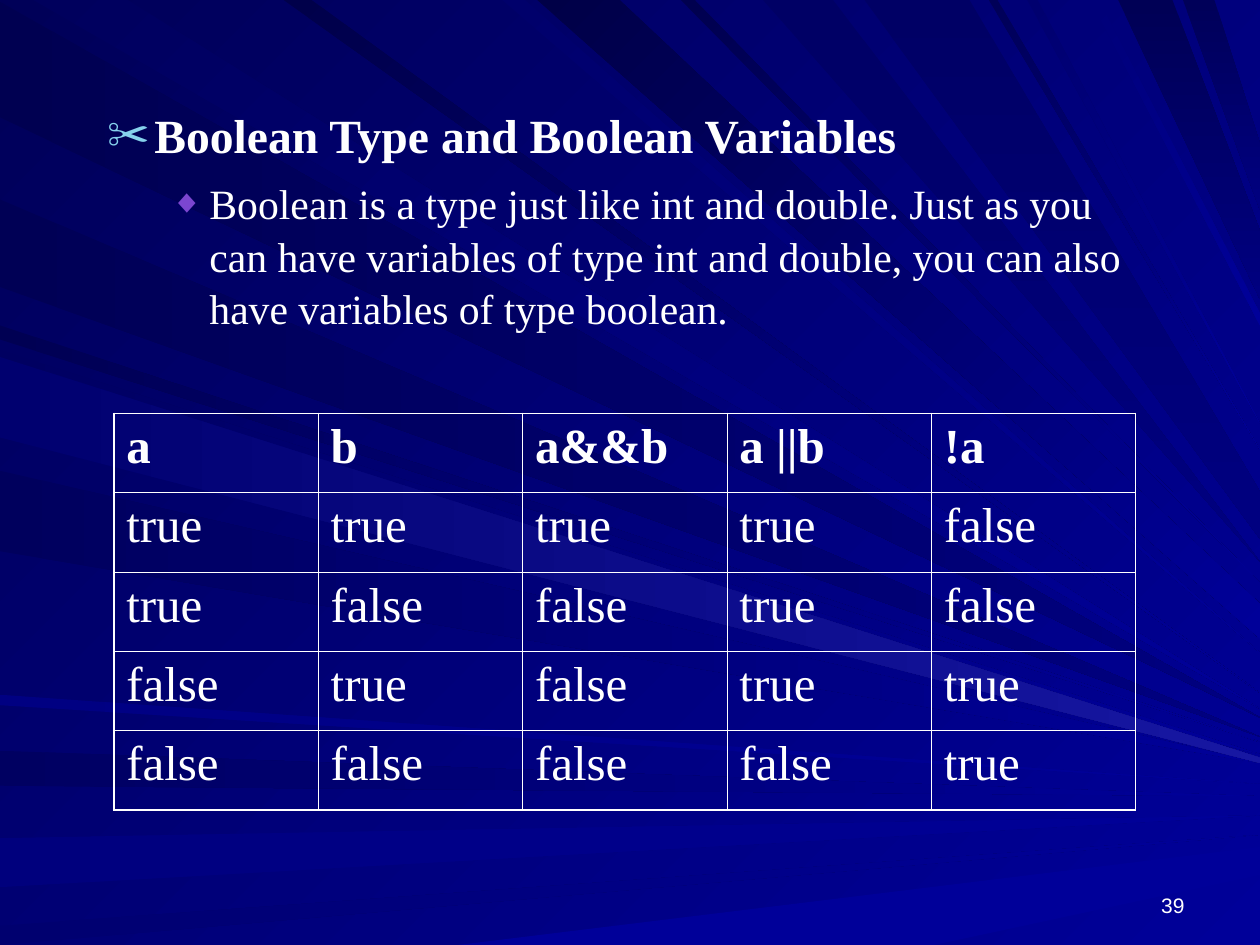
from dataclasses import dataclass

from lxml.etree import SubElement as add_node
from pptx import Presentation
from pptx.dml.color import RGBColor as Rgb
from pptx.enum.text import MSO_ANCHOR as Anchor, MSO_AUTO_SIZE as AutoSize, PP_ALIGN as Align
from pptx.oxml.ns import qn
from pptx.util import Pt


@dataclass(frozen=True)
class Theme:
    serif: str = "Times New Roman"
    sans: str = "Arial"
    ink: str = "FFFFFF"
    scissors: str = "86D1EC"
    diamond: str = "7B46D0"
    night: str = "000058"
    dusk: str = "000080"
    blue: str = "000099"
    glow: str = "1717A2"
    heading: float = 27.2
    detail: float = 23.8
    cell: float = 28
    footer: float = 12
    outer_line: float = 1.08
    inner_line: float = 0.45


THEME = Theme()
WIDTH, HEIGHT = 720, 540

# Content
# Text, level, size, bold, bullet, bullet colour, bullet percent, left, hanging, space before
OUTLINE = [
    ("Boolean Type and Boolean Variables", 0, THEME.heading, True,
     "✂", THEME.scissors, 90, 27, 27, 0),
    ("Boolean is a type just like int and double. Just as you can have variables of type "
     "int and double, you can also have variables of type boolean.", 1, THEME.detail, False,
     "◆", THEME.diamond, 80, 58.5, 22.5, 7),
]
TRUTH_TABLE = [
    ["a", "b", "a&&b", "a ||b", "!a"],
    ["true", "true", "true", "true", "false"],
    ["true", "false", "false", "true", "false"],
    ["false", "true", "false", "true", "true"],
    ["false", "false", "false", "false", "true"],
]
PAGE_NUMBER = "39"

# Light rays, back to front: edge they leave, first colour, last colour,
# span on that edge, then where they meet the right edge (a point or a span)
RAYS = [
    ("left", "000051", THEME.dusk, 1, 67, 410),
    ("top", "00005D", THEME.blue, 19, 73, 405),
    ("left", "000061", THEME.blue, 429, 449, 455),
    ("left", "00007D", THEME.blue, 479, 507, 466),
    ("left", "00006F", THEME.blue, 529, 540, 477),
    ("bottom", THEME.blue, THEME.blue, 262, 534, 500, 484),
    ("left", "000053", THEME.blue, 186, 194, 424),
    ("left", "000055", THEME.dusk, 114, 164, 421),
    ("top", "00006B", THEME.blue, 287, 300, 373),
    ("top", "000047", THEME.blue, 307, 354, 365, 345),
    ("top", "00004F", THEME.blue, 389, 397, 333),
    ("top", "000065", THEME.dusk, 436, 476, 321),
    ("top", "000055", THEME.dusk, 639, 670, 171, 132),
    ("top", "000059", THEME.dusk, 676, 694, 120, 82),
    ("left", "000061", THEME.blue, 200, 246, 431),
    ("left", "00005D", THEME.blue, 269, 315, 436),
    ("left", "000082", THEME.blue, 397, 403, 448),
    ("top", "00004A", THEME.blue, 162, 178, 396),
    ("top", "000065", THEME.dusk, 494, 554, 308, 281),
    ("top", "000058", THEME.blue, 565, 570, 257),
    ("top", "00006F", THEME.blue, 587, 593, 242),
    ("top", "000079", THEME.blue, 623, 628, 186, 179),
    ("left", "00006F", THEME.glow, 204, 250, 436, 433),
]


def ray_corners(edge, start, end, targets):
    if edge == "left":
        near = [(0, end), (0, start)]
    else:
        y = 0 if edge == "top" else HEIGHT
        near = [(start, y), (end, y)]
    far = [(WIDTH, targets[-1]), (WIDTH, targets[0])]
    if edge == "left":
        return near + far
    return near + (far if edge == "top" else far[::-1])


def paint(fill, start, end, angle):
    """Fill with one colour, or a gradient whose angle runs clockwise."""
    if start == end:
        fill.solid()
        fill.fore_color.rgb = Rgb.from_string(start)
        return
    fill.gradient()
    fill.gradient_angle = (360 - angle) % 360
    for stop, color in zip(fill.gradient_stops, (start, end)):
        stop.color.rgb = Rgb.from_string(color)


def style(para, size, face=THEME.serif, bold=False):
    for span in para.runs:
        span.font.name, span.font.size, span.font.bold = face, Pt(size), bold
        span.font.color.rgb = Rgb.from_string(THEME.ink)


def add_bullet(para, char, color, percent, left, hanging):
    props = para._p.get_or_add_pPr()
    props.set("marL", str(Pt(left)))
    props.set("indent", str(-Pt(hanging)))
    add_node(add_node(props, qn("a:buClr")), qn("a:srgbClr"), val=color)
    add_node(props, qn("a:buSzPct"), val=str(percent * 1000))
    add_node(props, qn("a:buChar"), char=char)


def add_borders(cell, widths):
    props = cell._tc.get_or_add_tcPr()
    for side, width in zip("LRTB", widths):
        line = add_node(props, qn("a:ln" + side), w=str(Pt(width)))
        add_node(add_node(line, qn("a:solidFill")), qn("a:srgbClr"), val=THEME.ink)


deck = Presentation()
deck.slide_width, deck.slide_height = Pt(WIDTH), Pt(HEIGHT)
page = deck.slides.add_slide(deck.slide_layouts[1])
title = page.shapes.title
title._element.getparent().remove(title._element)

# Backdrop, with the rays grouped behind everything else
paint(page.background.fill, THEME.night, THEME.blue, 45)
backdrop = page.shapes.add_group_shape()
for edge, dark, light, start, end, *targets in RAYS:
    first, *others = [(Pt(x), Pt(y)) for x, y in ray_corners(edge, start, end, targets)]
    builder = backdrop.shapes.build_freeform(*first)
    builder.add_line_segments(others, close=True)
    ray = builder.convert_to_shape()
    ray.shadow.inherit = False
    ray.line.fill.background()
    steep = 90 if light == THEME.dusk else 45
    paint(ray.fill, dark, light, steep if edge == "top" else 0)
page.shapes._spTree.insert(2, backdrop._element)

# Outline
body = page.placeholders[1]
body.left, body.top, body.width, body.height = Pt(54), Pt(54), Pt(613.4), Pt(141.8)
frame = body.text_frame
frame.auto_size, frame.vertical_anchor, frame.margin_top = AutoSize.NONE, Anchor.TOP, Pt(5)
frame.text = "\n".join(item[0] for item in OUTLINE)
for para, (_, level, size, bold, *bullet, before) in zip(frame.paragraphs, OUTLINE):
    para.level = level
    add_bullet(para, *bullet)
    para.space_before, para.line_spacing = Pt(before), 1.05
    style(para, size, bold=bold)

# Truth table
last_row, last_col = len(TRUTH_TABLE) - 1, len(TRUTH_TABLE[0]) - 1
table = page.shapes.add_table(last_row + 1, last_col + 1, Pt(65), Pt(236.2),
                              Pt(584), Pt(226.8)).table
table.first_row = table.horz_banding = False
for r, values in enumerate(TRUTH_TABLE):
    for c, value in enumerate(values):
        cell = table.cell(r, c)
        cell.text = value
        style(cell.text_frame.paragraphs[0], THEME.cell, bold=r == 0)
        edges = (c == 0, c == last_col, r == 0, r == last_row)
        add_borders(cell, [THEME.outer_line if edge else THEME.inner_line for edge in edges])
        cell.fill.background()

# Page number
box = page.shapes.add_textbox(Pt(516.2), Pt(491.8), Pt(167.8), Pt(36))
box.text_frame.word_wrap, box.text_frame.vertical_anchor = True, Anchor.BOTTOM
box.text_frame.text = PAGE_NUMBER
box.text_frame.paragraphs[0].alignment = Align.RIGHT
style(box.text_frame.paragraphs[0], THEME.footer, THEME.sans)

deck.save("out.pptx")
